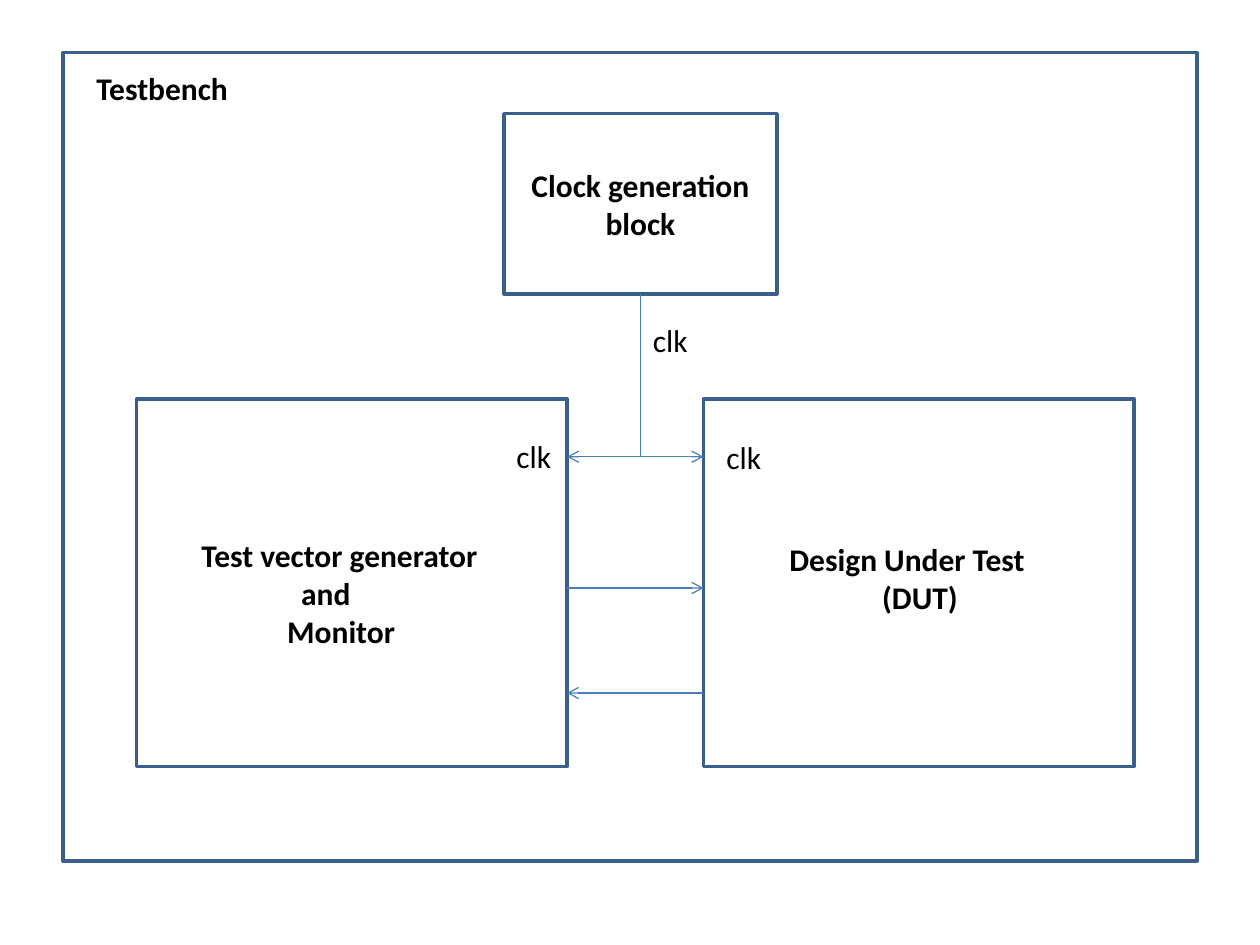
import pptx
import pptx.dml.color
import pptx.enum.shapes
import pptx.enum.text
import pptx.oxml
import pptx.oxml.ns
import pptx.util

Pt = pptx.util.Pt
COLORS = {"box": "FFFFFF", "border": "3A5F8C", "wire": "4B7EBC", "text": "000000"}
FONT, SIZE = "Calibri", 18


def rgb(name):
    return pptx.dml.color.RGBColor.from_string(COLORS[name])


def style_runs(p, bold):
    for r in p.runs:
        r.font.name, r.font.size, r.font.bold = FONT, Pt(SIZE), bold
        r.font.color.rgb = rgb("text")


def add_box(s, x, y, w, h, text=""):
    sp = s.shapes.add_shape(pptx.enum.shapes.MSO_SHAPE.RECTANGLE,
                            Pt(x), Pt(y), Pt(w), Pt(h))
    sp.shadow.inherit = False
    sp.fill.solid()
    sp.fill.fore_color.rgb = rgb("box")
    sp.line.color.rgb = rgb("border")
    sp.line.width = Pt(2)
    if text:
        tf = sp.text_frame
        tf.text = text
        tf.word_wrap = True
        tf.vertical_anchor = pptx.enum.text.MSO_ANCHOR.MIDDLE
        p = tf.paragraphs[0]
        p.alignment = pptx.enum.text.PP_ALIGN.CENTER
        style_runs(p, True)


def add_label(s, x, y, w, lines, bold=True):
    """Place a label; lines holds (text, left indent) pairs."""
    sp = s.shapes.add_textbox(Pt(x), Pt(y), Pt(w), Pt(7.2 + 22 * len(lines)))
    tf = sp.text_frame
    tf.word_wrap = True
    tf.text = "\n".join(text for text, _ in lines)
    for p, (_, indent) in zip(tf.paragraphs, lines):
        style_runs(p, bold)
        if indent:
            p._p.get_or_add_pPr().set("marL", str(Pt(indent)))


def add_wire(s, x1, y1, x2, y2, arrows=()):
    """Draw a line; arrows names its arrow ends, headEnd before tailEnd."""
    cn = s.shapes.add_connector(pptx.enum.shapes.MSO_CONNECTOR.STRAIGHT,
                                Pt(x1), Pt(y1), Pt(x2), Pt(y2))
    cn.line.color.rgb = rgb("wire")
    cn.line.width = Pt(0.75)
    ln = cn.line._get_or_add_ln()
    for end in arrows:
        tag = pptx.oxml.ns.qn(f"a:{end}")
        ln.append(ln.makeelement(tag, {"type": "arrow"}))
    sp_pr = cn._element.spPr
    sp_pr.append(sp_pr.makeelement(pptx.oxml.ns.qn("a:effectLst"), {}))


def main():
    prs = pptx.Presentation()
    prs.slide_width, prs.slide_height = Pt(720), Pt(540)
    s = prs.slides.add_slide(prs.slide_layouts[6])

    left, right, clk_x, clk_y = 324, 402, 366, 261
    block_w, block_h, block_y = 246, 210, 228
    add_box(s, 36, 30, 648, 462)
    add_box(s, left - block_w, block_y, block_w, block_h)
    add_box(s, right, block_y, block_w, block_h)
    add_box(s, 288, 65, 156, 103, "Clock generation block")

    add_wire(s, left, 336, right, 336, ["tailEnd"])
    add_wire(s, right, 396, left, 396, ["tailEnd"])
    add_wire(s, left, clk_y, right, clk_y, ["headEnd", "tailEnd"])
    add_wire(s, clk_x, 168, clk_x, clk_y)

    add_label(s, 48, 36, 198, [("Testbench", 0)])
    add_label(s, 108, 303, 192,
              [("Test vector generator", 0), ("and", 57), ("Monitor", 49)])
    add_label(s, 444, 305, 192, [("Design Under Test", 0), ("(DUT)", 53)])
    for x, y in [(clk_x, 180), (408, 247), (288, 246)]:
        add_label(s, x, y, 66, [("clk", 0)], bold=False)

    prs.save("out.pptx")


if __name__ == "__main__":
    main()
